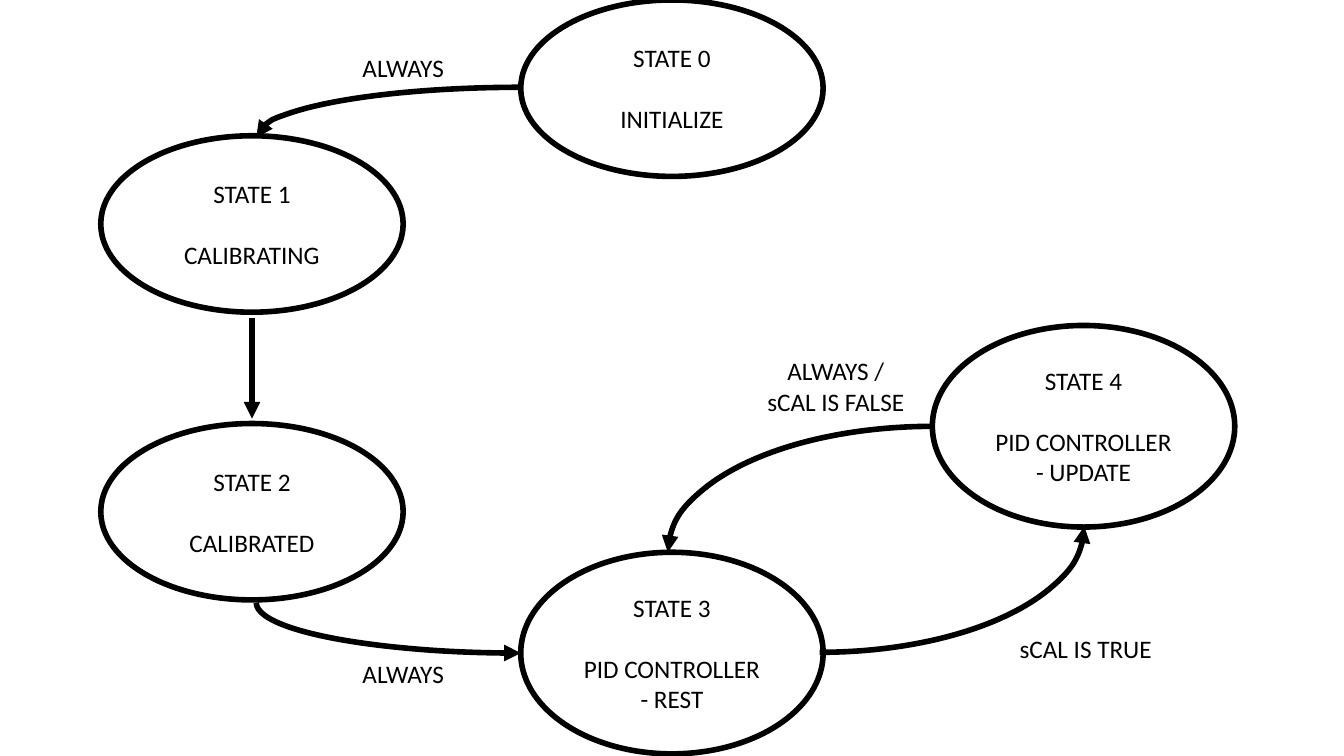
from lxml.etree import SubElement
from pptx import Presentation
from pptx.dml.color import RGBColor
from pptx.enum.shapes import MSO_CONNECTOR, MSO_SHAPE
from pptx.enum.text import MSO_ANCHOR, MSO_AUTO_SIZE, PP_ALIGN
from pptx.oxml.ns import qn
from pptx.util import Pt

INK = "000000"
FONT = {"name": "Calibri", "size": Pt(18)}


def style_line(s, color, arrow=None):
    s.line.color.rgb = RGBColor.from_string(color)
    s.line.width = Pt(4)
    if arrow:
        SubElement(s.line._get_or_add_ln(), qn("a:" + arrow), type="triangle")


def write(tf, lines, color, gap=0):
    for i, line in enumerate(lines):
        p = tf.paragraphs[0] if i == 0 else tf.add_paragraph()
        p.alignment = PP_ALIGN.CENTER
        if i == 1 and gap:
            p.space_before = Pt(gap)
        r = p.add_run()
        r.text = line
        for key, value in FONT.items():
            setattr(r.font, key, value)
        r.font.color.rgb = RGBColor.from_string(color)


prs = Presentation()
prs.slide_width, prs.slide_height = Pt(960), Pt(540)
slide = prs.slides.add_slide(prs.slide_layouts[6])
shapes = slide.shapes

# States: left, top, height, text below the state number
states = [
    (372, 0, 126, ["INITIALIZE"]),
    (72, 97, 126, ["CALIBRATING"]),
    (72, 302.5, 126, ["CALIBRATED"]),
    (372, 394.5, 144, ["PID CONTROLLER", "- REST"]),
    (666, 232.5, 144, ["PID CONTROLLER", "- UPDATE"]),
]
for number, (x, y, h, lines) in enumerate(states):
    s = shapes.add_shape(MSO_SHAPE.OVAL, Pt(x), Pt(y), Pt(216), Pt(h))
    s.shadow.inherit = False
    s.fill.background()
    style_line(s, INK)
    s.text_frame.vertical_anchor = MSO_ANCHOR.MIDDLE
    write(s.text_frame, [f"STATE {number}"] + lines, INK, gap=22)

# Curved transitions: left, top, width, height, rotation
arcs = [
    (336, -90.7, 72, 378, 270),
    (495.5, 187, 180, 378, 90),
    (576, 205.5, 180, 378, 270),
    (183, 394.5, 378, 72, 180),
]
for x, y, w, h, rotation in arcs:
    s = shapes.add_shape(MSO_SHAPE.ARC, Pt(x), Pt(y), Pt(w), Pt(h))
    s.rotation = rotation
    s.shadow.inherit = False
    s.fill.background()
    style_line(s, INK, "headEnd")

# Straight transition from state 1 to state 2
c = shapes.add_connector(MSO_CONNECTOR.STRAIGHT, Pt(180), Pt(227), Pt(180), Pt(299))
style_line(c, INK, "tailEnd")
SubElement(c._element.spPr, qn("a:effectLst"))

# Transition labels: left, top, width, height, lines
labels = [
    (251.5, 33.5, 73, 29, ["ALWAYS"]),
    (251.5, 466.5, 73, 29, ["ALWAYS"]),
    (540.5, 250.5, 113, 51, ["ALWAYS /", "sCAL IS FALSE"]),
    (720.5, 448.5, 110, 29, ["sCAL IS TRUE"]),
]
for x, y, w, h, lines in labels:
    tf = shapes.add_textbox(Pt(x), Pt(y), Pt(w), Pt(h)).text_frame
    tf.word_wrap = False
    tf.auto_size = MSO_AUTO_SIZE.SHAPE_TO_FIT_TEXT
    write(tf, lines, INK)

prs.save("out.pptx")
